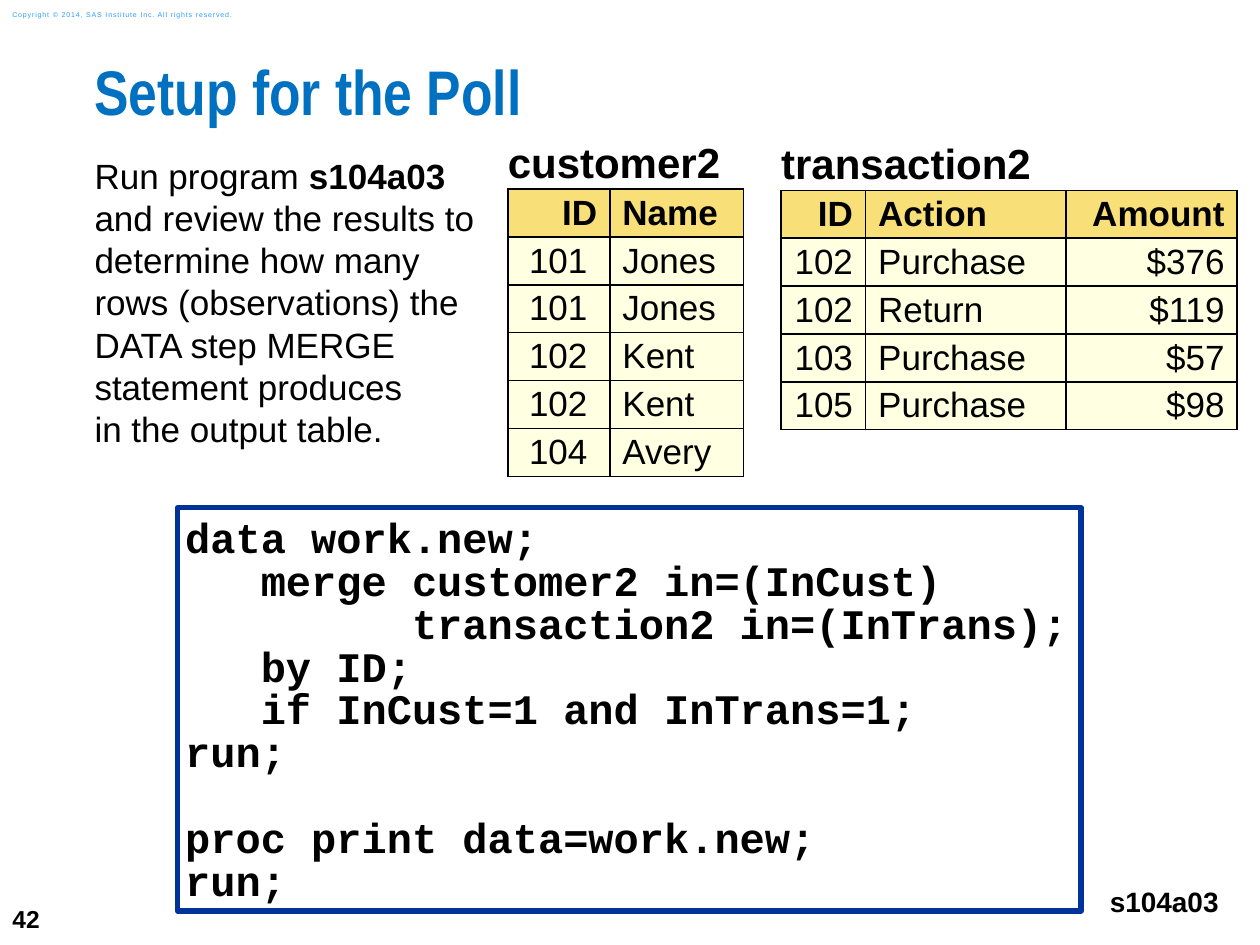
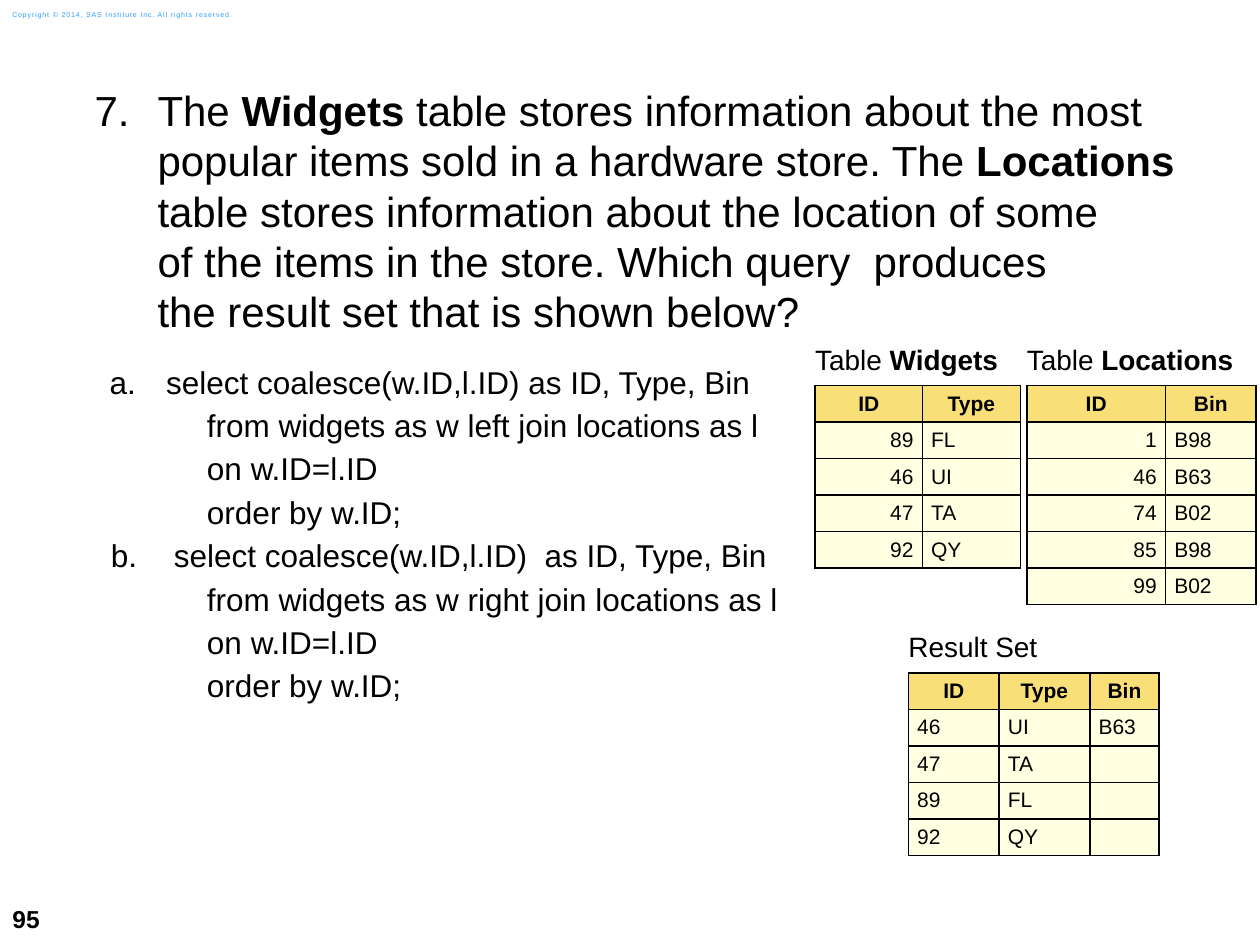
from pptx import Presentation
from pptx.dml.color import RGBColor
from pptx.enum.shapes import MSO_SHAPE as SHAPE
from pptx.enum.text import MSO_ANCHOR as ANCHOR, PP_ALIGN as ALIGN
from pptx.oxml.ns import qn
from pptx.util import Inches, Pt
from lxml.etree import SubElement

BLACK = RGBColor(0x00, 0x00, 0x00)
WHITE = RGBColor(0xFF, 0xFF, 0xFF)
TITLE_BLUE = RGBColor(0x00, 0x70, 0xC0)
COPYRIGHT_BLUE = RGBColor(0x2A, 0x9C, 0xFF)
CODE_BORDER = RGBColor(0x00, 0x33, 0x99)
HEADER_GOLD = RGBColor(0xF9, 0xDF, 0x78)
ROW_CREAM = RGBColor(0xFF, 0xFF, 0xE1)
ALIGNMENTS = {"l": ALIGN.LEFT, "c": ALIGN.CENTER, "r": ALIGN.RIGHT}


def add_frame(slide, left, top, width, height, inset=0, anchor=ANCHOR.TOP):
    box = slide.shapes.add_textbox(Inches(left), Inches(top), Inches(width), Inches(height))
    frame = box.text_frame
    frame.word_wrap = True
    frame.vertical_anchor = anchor
    frame.margin_left = frame.margin_right = Inches(inset)
    frame.margin_top = frame.margin_bottom = Inches(inset)
    return frame


def write(paragraph, pieces, size, color=BLACK, font="Arial"):
    """Add (text, bold) pieces as runs; a newline becomes a line break."""
    for text, bold in pieces:
        for i, line in enumerate(text.split("\n")):
            if i:
                paragraph.add_line_break()
            run = paragraph.add_run()
            run.text = line
            run.font.name = font
            run.font.size = Pt(size)
            run.font.bold = bold
            run.font.color.rgb = color


prs = Presentation()
prs.slide_width, prs.slide_height = Inches(10), Inches(7.5)

# Slides with the shared page number and copyright line
slides = []
for page in ("42", "95"):
    slide = prs.slides.add_slide(prs.slide_layouts[6])
    slides.append(slide)
    number = add_frame(slide, 0, 7.08, 0.58, 0.42, 0.1, ANCHOR.MIDDLE)
    number.margin_top = number.margin_bottom = Inches(0.05)
    write(number.paragraphs[0], [(page, True)], 14)
    rights = add_frame(slide, 0, 0.03, 2.11, 0.17, 0, ANCHOR.MIDDLE)
    rights.margin_left = Inches(0.1)
    notice = rights.paragraphs[0]
    write(notice, [("Copyright © 2014, SAS Institute Inc. All rights reserved.", False)],
          4, COPYRIGHT_BLUE)
    notice.runs[0].font._element.set("spc", "50")
poll, quiz = slides

# Poll: title and instructions
title = add_frame(poll, 0.75, 0.5, 9.25, 0.74).paragraphs[0]
title.line_spacing = Pt(37)
write(title, [("Setup for the Poll", True)], 36, TITLE_BLUE, "Arial Narrow")

instructions = add_frame(poll, 0.75, 1.23, 4.25, 4.67).paragraphs[0]
instructions.line_spacing = Pt(24)
write(instructions, [
    ("Run program ", False),
    ("s104a03 \n", True),
    ("and review the results to determine how many \nrows (observations) the \n"
     "DATA step MERGE \nstatement produces \nin the output table.", False),
], 20)

# Poll: program name and code
program = add_frame(poll, 8.7, 6.92, 1.07, 0.47, 0.1)
program.word_wrap = False
program.paragraphs[0].alignment = ALIGN.RIGHT
write(program.paragraphs[0], [("s104a03", True)], 16)

CODE_PITCH = 24.5
CODE = [
    ["data work.new;",
     "   merge customer2 in=(InCust)",
     "         transaction2 in=(InTrans);",
     "   by ID;",
     "   if InCust=1 and InTrans=1;",
     "run;"],
    ["proc print data=work.new;",
     "run;"],
]
code_box = poll.shapes.add_shape(SHAPE.RECTANGLE, Inches(1.41), Inches(4.03),
                                 Inches(7.17), Inches(3.2))
code_box.shadow.inherit = False
code_box.fill.solid()
code_box.fill.fore_color.rgb = WHITE
code_box.line.color.rgb = CODE_BORDER
code_box.line.width = Pt(3)
code = code_box.text_frame
code.word_wrap = True
code.vertical_anchor = ANCHOR.TOP
code.margin_left = code.margin_right = code.margin_bottom = Inches(0.06)
code.margin_top = Inches(0.09)
for s, step in enumerate(CODE):
    for n, statement in enumerate(step):
        line = code.add_paragraph() if s or n else code.paragraphs[0]
        line.alignment = ALIGN.LEFT
        line.line_spacing = Pt(CODE_PITCH)
        if s and n == 0:
            line.space_before = Pt(CODE_PITCH)
        write(line, [(statement, True)], 24, font="Courier New")

# Quiz: question
body = add_frame(quiz, 0.75, 0.67, 8.58, 4.67)
question = body.paragraphs[0]
question.line_spacing = Pt(28.8)
question.space_after = Pt(15)
write(question, [
    ("The ", False),
    ("Widgets", True),
    (" table stores information about the most popular items sold in a hardware store. The ",
     False),
    ("Locations", True),
    (" table stores information about the location of some \nof the items in the store. "
     "Which query  produces \nthe result set that is shown below?", False),
], 24)
numbered = [(question, "arabicPeriod", 7, 0.5, -0.5)]

# Quiz: answers, each a lettered line followed by three plain ones
ANSWERS = [
    (" select coalesce(w.ID,l.ID) as ID, Type, Bin", "left", 0.5, -0.38),
    ("select coalesce(w.ID,l.ID)  as ID, Type, Bin", "right", 0.63, -0.5),
]
for letter, (select, side, margin, indent) in enumerate(ANSWERS, 1):
    query = [select,
             f"           from widgets as w {side} join locations as l",
             "           on w.ID=l.ID",
             "           order by w.ID;"]
    for n, clause in enumerate(query):
        line = body.add_paragraph()
        line.level = 1
        line.line_spacing = Pt(21.6)
        line.space_after = Pt(3.2)
        if n == 0:
            numbered.append((line, "alphaLcPeriod", letter, margin, indent))
        else:
            line._p.get_or_add_pPr().set("marL", str(Inches(0.13)))
            line._p.get_or_add_pPr().set("indent", "0")
        write(line, [(clause, False)], 18)

for line, scheme, start, margin, indent in numbered:
    props = line._p.get_or_add_pPr()
    props.set("marL", str(Inches(margin)))
    props.set("indent", str(Inches(indent)))
    SubElement(props, qn("a:buFont"), typeface="Arial")
    SubElement(props, qn("a:buAutoNum"), type=scheme, startAt=str(start))

# Tables of both slides: a caption row, a header row and data rows
POLL_STYLE = dict(caption_size=24, size=20, row_height=0.38, inset=0.1)
QUIZ_STYLE = dict(caption_size=16, size=12, row_height=0.29, inset=0.07)
TABLES = [
    (poll, POLL_STYLE, 4.03, 1.1, [0.81, 1.06], 2, [("customer2", True)], "rl", "rl", [
        ("ID", "Name"), ("101 ", "Jones"), ("101 ", "Jones"), ("102 ", "Kent"),
        ("102 ", "Kent"), ("104 ", "Avery")]),
    (poll, POLL_STYLE, 6.2, 1.11, [0.67, 1.59, 1.36], 3, [("transaction2", True)],
     "rlr", "rlr", [
        ("ID", "Action", "Amount"), ("102 ", "Purchase", "$376"), ("102 ", "Return", "$119"),
        ("103 ", "Purchase", "$57"), ("105 ", "Purchase", "$98")]),
    (quiz, QUIZ_STYLE, 6.47, 2.66, [0.85, 0.78], 2, [("Table", False), (" Widgets", True)],
     "cc", "rl", [
        ("ID", "Type"), ("89", "FL"), ("46", "UI"), ("47", "TA"), ("92", "QY")]),
    (quiz, QUIZ_STYLE, 8.15, 2.66, [1.1, 0.72], 2, [("Table", False), (" Locations", True)],
     "cc", "rl", [
        ("ID", "Bin"), ("1", "B98"), ("46", "B63"), ("74", "B02"), ("85", "B98"),
        ("99", "B02")]),
    (quiz, QUIZ_STYLE, 7.21, 4.94, [0.72, 0.72, 0.55], 2, [("Result Set", False)],
     "ccc", "lll", [
        ("ID", "Type", "Bin"), ("46", "UI", "B63"), ("47", "TA", ""), ("89", "FL", ""),
        ("92", "QY", "")]),
]
CAPTION_HEIGHT = 0.4
for slide, style, left, top, widths, span, caption, head_align, data_align, rows in TABLES:
    height = CAPTION_HEIGHT + style["row_height"] * len(rows)
    table = slide.shapes.add_table(len(rows) + 1, len(widths), Inches(left), Inches(top),
                                   Inches(sum(widths)), Inches(height)).table
    table.horz_banding = table.first_row = False
    for column, width in zip(table.columns, widths):
        column.width = Inches(width)
    table.cell(0, 0).merge(table.cell(0, span - 1))

    for r, row in enumerate(table.rows):
        row.height = Inches(style["row_height"] if r else CAPTION_HEIGHT)
        for c, cell in enumerate(row.cells):
            cell.vertical_anchor = ANCHOR.MIDDLE
            cell.margin_top = cell.margin_bottom = 0
            cell.margin_left = Inches(style["inset"] if r else 0)
            cell.margin_right = Inches(style["inset"])
            entry = cell.text_frame.paragraphs[0]
            entry.font.size = Pt(style["size"])
            if r:
                entry.alignment = ALIGNMENTS[(head_align if r == 1 else data_align)[c]]
                if rows[r - 1][c]:
                    write(entry, [(rows[r - 1][c], r == 1)], style["size"])
            elif c == 0:
                write(entry, caption, style["caption_size"])

            # Black grid, with only the lower edge on the caption; lines precede the fill
            props = cell._tc.get_or_add_tcPr()
            for edge in ("lnL", "lnR", "lnT", "lnB"):
                border = SubElement(props, qn(f"a:{edge}"), w=str(Pt(1)))
                if r or edge == "lnB":
                    paint = SubElement(border, qn("a:solidFill"))
                    SubElement(paint, qn("a:srgbClr"), val=str(BLACK))
                else:
                    SubElement(border, qn("a:noFill"))
            if r:
                cell.fill.solid()
                cell.fill.fore_color.rgb = HEADER_GOLD if r == 1 else ROW_CREAM
            else:
                cell.fill.background()

prs.save("out.pptx")
